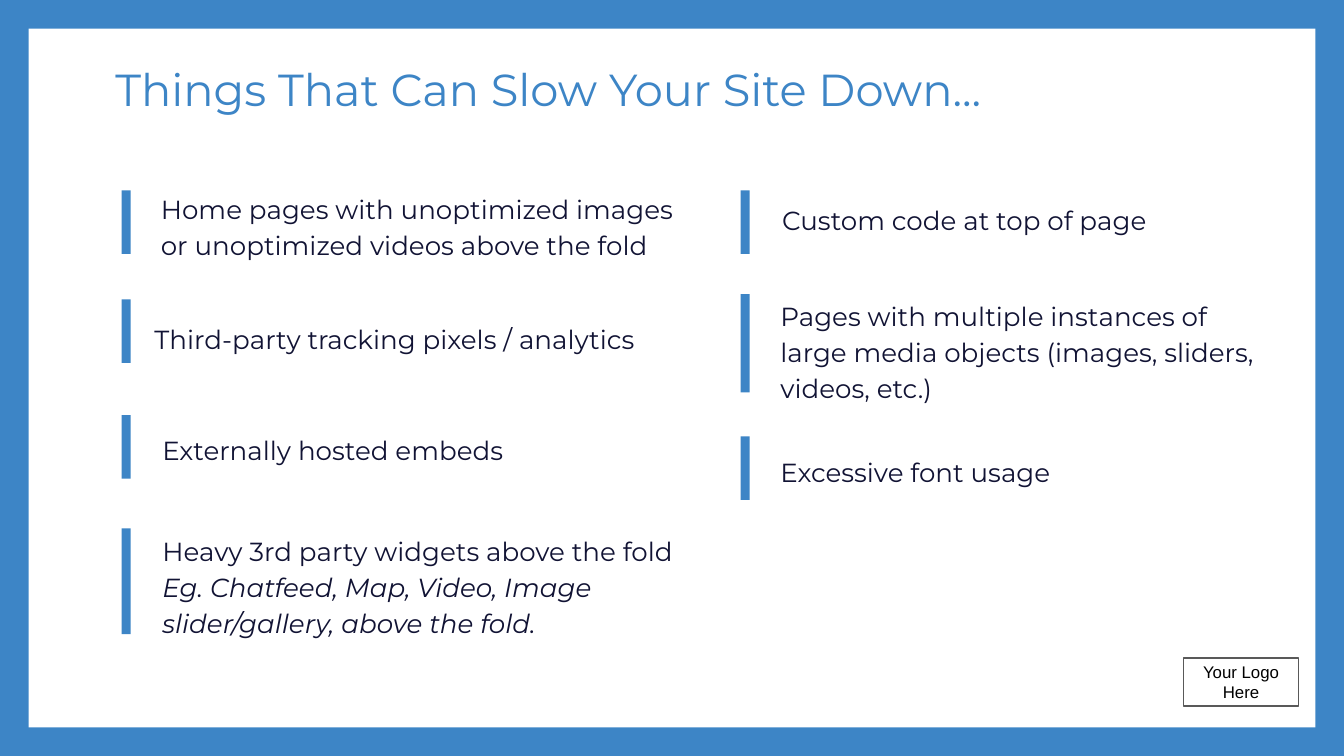
import collections

import pptx
import pptx.dml.color
import pptx.enum.shapes
import pptx.enum.text
import pptx.util

Cm = pptx.util.Cm
RGBColor = pptx.dml.color.RGBColor
ANCHOR = pptx.enum.text.MSO_ANCHOR
ALIGN = pptx.enum.text.PP_ALIGN

BLUE = RGBColor(0x3D, 0x85, 0xC6)
NAVY = RGBColor(0x11, 0x13, 0x34)
WHITE = RGBColor(0xFF, 0xFF, 0xFF)
BLACK = RGBColor(0, 0, 0)
GREY = RGBColor(0x59, 0x59, 0x59)

SLIDE_WIDTH, SLIDE_HEIGHT = 25.4, 14.29
BORDER = 0.54
BAR_WIDTH = 0.17
TEXT_HEIGHT = 1.85

TITLE_FONT = {"name": "Montserrat", "size": pptx.util.Pt(24)}
ITEM_FONT = {"name": "Montserrat", "size": pptx.util.Pt(14)}
LOGO_FONT = {"name": "Arial", "size": pptx.util.Pt(9)}

# Offsets in cm from the column's top left corner.
Item = collections.namedtuple(
    "Item", "bar_top bar_height text_left text_top text_width anchor lines")

LEFT_ITEMS = [
    Item(0, 1.2, 0.49, -0.27, 10.69, ANCHOR.MIDDLE,
         ["Home pages with unoptimized images or unoptimized videos above the fold"]),
    Item(2.06, 1.2, 0.37, 1.84, 10.69, ANCHOR.MIDDLE,
         ["Third-party tracking pixels / analytics"]),
    Item(4.25, 1.2, 0.52, 3.94, 10.69, ANCHOR.MIDDLE,
         ["Externally hosted embeds"]),
    Item(6.39, 2, 0.52, 6.18, 10.31, ANCHOR.TOP,
         ["Heavy 3rd party widgets above the fold",
          "Eg. Chatfeed, Map, Video, Image slider/gallery, above the fold."]),
]
RIGHT_ITEMS = [
    Item(0, 1.2, 0.53, -0.07, 10.69, ANCHOR.TOP,
         ["Custom code at top of page"]),
    Item(1.96, 1.86, 0.5, 2.09, 9.58, ANCHOR.MIDDLE,
         ["Pages with multiple instances of large media objects "
          "(images, sliders, videos, etc.)"]),
    Item(4.65, 1.2, 0.5, 4.35, 10.03, ANCHOR.MIDDLE,
         ["Excessive font usage"]),
]


def apply_format(target, values):
    for attribute, value in values.items():
        setattr(target, attribute, value)


def format_frame(frame, anchor):
    apply_format(frame, {
        "word_wrap": True,
        "auto_size": pptx.enum.text.MSO_AUTO_SIZE.NONE,
        "vertical_anchor": anchor,
        **{f"margin_{side}": Cm(0.25) for side in ("left", "top", "right", "bottom")},
    })


def write_lines(frame, lines, font, color, align=ALIGN.LEFT, spacing=1.0):
    """Write one paragraph per line; those after the first are italic examples."""
    for index, line in enumerate(lines):
        paragraph = frame.paragraphs[0] if index == 0 else frame.add_paragraph()
        apply_format(paragraph, {"alignment": align, "line_spacing": spacing})
        run = paragraph.add_run()
        run.text = line
        apply_format(run.font, font)
        run.font.color.rgb = color
        if index:
            run.font.italic = True


def add_rectangle(slide, left, top, width, height, fill=None):
    rectangle = slide.shapes.add_shape(
        pptx.enum.shapes.MSO_SHAPE.RECTANGLE,
        Cm(left), Cm(top), Cm(width), Cm(height))
    rectangle.shadow.inherit = False
    rectangle.line.fill.background()
    if fill is None:
        rectangle.fill.background()
    else:
        rectangle.fill.solid()
        rectangle.fill.fore_color.rgb = fill
    return rectangle


def add_title(slide, left, top, width, height):
    title = slide.shapes.title
    apply_format(title, {"left": Cm(left), "top": Cm(top),
                         "width": Cm(width), "height": Cm(height)})
    format_frame(title.text_frame, ANCHOR.TOP)
    write_lines(title.text_frame, ["Things That Can Slow Your Site Down..."],
                TITLE_FONT, BLUE)


def add_column(slide, left, top, items):
    """Place each item's accent bar and text relative to the column corner."""
    for item in items:
        add_rectangle(slide, left, top + item.bar_top,
                      BAR_WIDTH, item.bar_height, BLUE)
        text = slide.shapes.add_textbox(
            Cm(left + item.text_left), Cm(top + item.text_top),
            Cm(item.text_width), Cm(TEXT_HEIGHT))
        format_frame(text.text_frame, item.anchor)
        write_lines(text.text_frame, item.lines, ITEM_FONT, NAVY, spacing=1.15)


def add_logo_box(slide, left, top, width, height):
    logo_box = add_rectangle(slide, left, top, width, height)
    logo_box.line.color.rgb = GREY
    logo_box.line.width = pptx.util.Pt(0.75)
    format_frame(logo_box.text_frame, ANCHOR.MIDDLE)
    write_lines(logo_box.text_frame, ["Your Logo Here"], LOGO_FONT, BLACK,
                ALIGN.CENTER)


def main():
    presentation = pptx.Presentation()
    presentation.slide_width = Cm(SLIDE_WIDTH)
    presentation.slide_height = Cm(SLIDE_HEIGHT)
    slide = presentation.slides.add_slide(
        presentation.slide_layouts.get_by_name("Title Only"))
    background = slide.background.fill
    background.solid()
    background.fore_color.rgb = BLUE

    panel = add_rectangle(slide, BORDER, BORDER, SLIDE_WIDTH - 2 * BORDER,
                          SLIDE_HEIGHT - 2 * BORDER, WHITE)
    slide.shapes.title.element.addprevious(panel.element)
    add_title(slide, 1.93, 0.91, 21.64, 1.35)
    add_column(slide, 2.3, 3.6, LEFT_ITEMS)
    add_column(slide, 14, 3.6, RIGHT_ITEMS)
    add_logo_box(slide, 22.37, 12.44, 2.17, 0.91)
    presentation.save("out.pptx")


if __name__ == "__main__":
    main()
